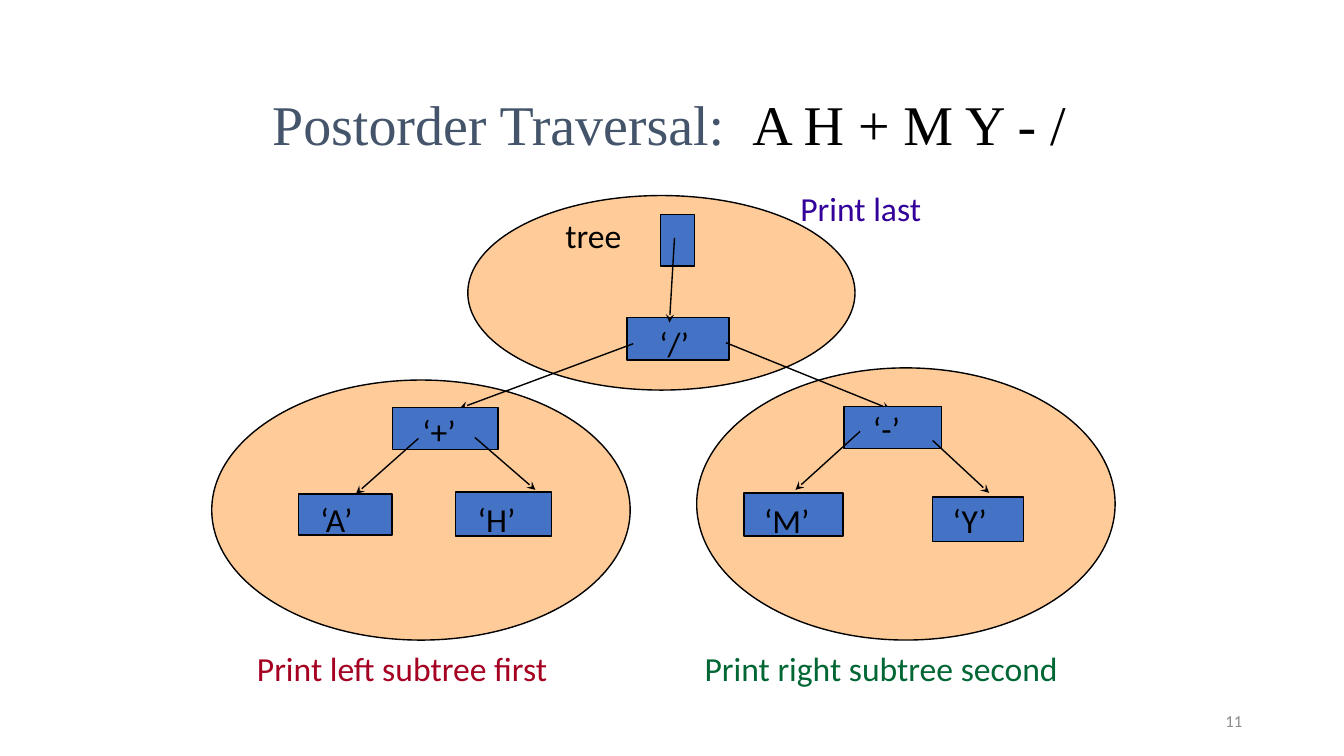
import pptx
import pptx.dml.color
import pptx.enum.shapes
import pptx.enum.text
import pptx.oxml.ns
import pptx.util
from lxml import etree
from pptx.util import Inches

BLACK, PEACH, BLUE, SLATE = "000000", "FFCC99", "4472C4", "44546A"
ALIGN = pptx.enum.text.PP_ALIGN
ANCHOR = pptx.enum.text.MSO_ANCHOR
SHAPE = pptx.enum.shapes.MSO_SHAPE


def rgb(value):
    return pptx.dml.color.RGBColor.from_string(value)


def add_run(p, text, name, size, color):
    r = p.add_run()
    r.text = text
    for key, value in {"name": name, "size": pptx.util.Pt(size)}.items():
        setattr(r.font, key, value)
    r.font.color.rgb = rgb(color)


prs = pptx.Presentation()
prs.slide_width, prs.slide_height = Inches(13.33), Inches(7.5)
s = prs.slides.add_slide(prs.slide_layouts[5])

# Title
title = s.shapes.title
for key, value in zip(("left", "top", "width", "height"), (1.98, 0.35, 9.31, 1.25)):
    setattr(title, key, Inches(value))
tf = title.text_frame
frame_format = {"vertical_anchor": ANCHOR.BOTTOM, "word_wrap": True,
                "auto_size": pptx.enum.text.MSO_AUTO_SIZE.NONE}
for key, value in frame_format.items():
    setattr(tf, key, value)
p = tf.paragraphs[0]
p.alignment = ALIGN.CENTER
add_run(p, "Postorder Traversal:  ", "Times New Roman", 40, SLATE)
add_run(p, "A H + M Y - /", "Times New Roman", 40, BLACK)

# Subtree ovals, then node boxes: shape, fill, left, top, width, height
ovals = [(6.91, 3.65, 4.15, 2.7), (4.64, 1.94, 3.84, 1.93), (2.1, 3.77, 4.15, 2.58)]
boxes = [
    (6.22, 3.15, 1.01, 0.42),
    (3.89, 4.04, 1.05, 0.42),
    (2.96, 4.9, 0.93, 0.41),
    (4.52, 4.88, 0.95, 0.44),
    (8.37, 4.03, 0.97, 0.42),
    (7.38, 4.89, 0.98, 0.43),
    (9.25, 4.93, 0.9, 0.44),
    (6.55, 2.13, 0.34, 0.51),
]
# Links leaving each box, by box number: start x, start y, end x, end y
links = {
    0: [(6.28, 3.41, 4.56, 4.05), (7.2, 3.4, 8.83, 4.06)],
    1: [(4.15, 4.35, 3.53, 4.9), (4.71, 4.34, 5.31, 4.86)],
    4: [(8.53, 4.28, 7.89, 4.86), (9.25, 4.37, 9.81, 4.89)],
    7: [(6.69, 2.36, 6.64, 3.2)],
}
outlines = [(SHAPE.OVAL, PEACH, oval, []) for oval in ovals]
outlines += [(SHAPE.RECTANGLE, BLUE, box, links.get(i, [])) for i, box in enumerate(boxes)]

for kind, fill, place, arrows in outlines:
    sp = s.shapes.add_shape(kind, *map(Inches, place))
    sp.shadow.inherit = False
    sp.fill.solid()
    sp.fill.fore_color.rgb = rgb(fill)
    sp.line.color.rgb = rgb(BLACK)
    sp.line.width = pptx.util.Pt(1)
    for ends in arrows:
        link = s.shapes.add_connector(
            pptx.enum.shapes.MSO_CONNECTOR.STRAIGHT, *map(Inches, ends))
        link.line.color.rgb = rgb(BLACK)
        link.line.width = pptx.util.Pt(1)
        etree.SubElement(link.line._get_or_add_ln(),
                         pptx.oxml.ns.qn("a:tailEnd"), type="stealth")
        etree.SubElement(link._element.spPr, pptx.oxml.ns.qn("a:effectLst"))

# Node labels and captions: text, left, top, width, colour
labels = [
    ("‘/’", 6.44, 3.15, 0.65, BLACK),
    ("‘+’", 4.09, 4.03, 0.7, BLACK),
    ("‘A’", 3.08, 4.9, 0.7, BLACK),
    ("‘H’", 4.64, 4.9, 0.7, BLACK),
    ("‘-’", 8.56, 4, 0.65, BLACK),
    ("‘M’", 7.48, 4.91, 0.76, BLACK),
    ("‘Y’", 9.35, 4.91, 0.7, BLACK),
    ("tree", 5.51, 2.08, 0.82, BLACK),
    ("Print left subtree first", 2.45, 6.38, 3.2, "A50021"),
    ("Print right subtree second", 6.89, 6.38, 3.8, "006633"),
    ("Print last", 7.84, 1.81, 1.5, "330099"),
]
for text, left, top, width, color in labels:
    tf = s.shapes.add_textbox(*map(Inches, (left, top, width, 0.51))).text_frame
    tf.word_wrap = True
    add_run(tf.paragraphs[0], text, "Calibri", 24, color)

# Slide number
tf = s.shapes.add_textbox(*map(Inches, (9.42, 6.95, 3, 0.4))).text_frame
tf.word_wrap = True
tf.vertical_anchor = ANCHOR.MIDDLE
p = tf.paragraphs[0]
p.alignment = ALIGN.RIGHT
add_run(p, "11", "Calibri", 12, "8C8C8C")

prs.save("out.pptx")
